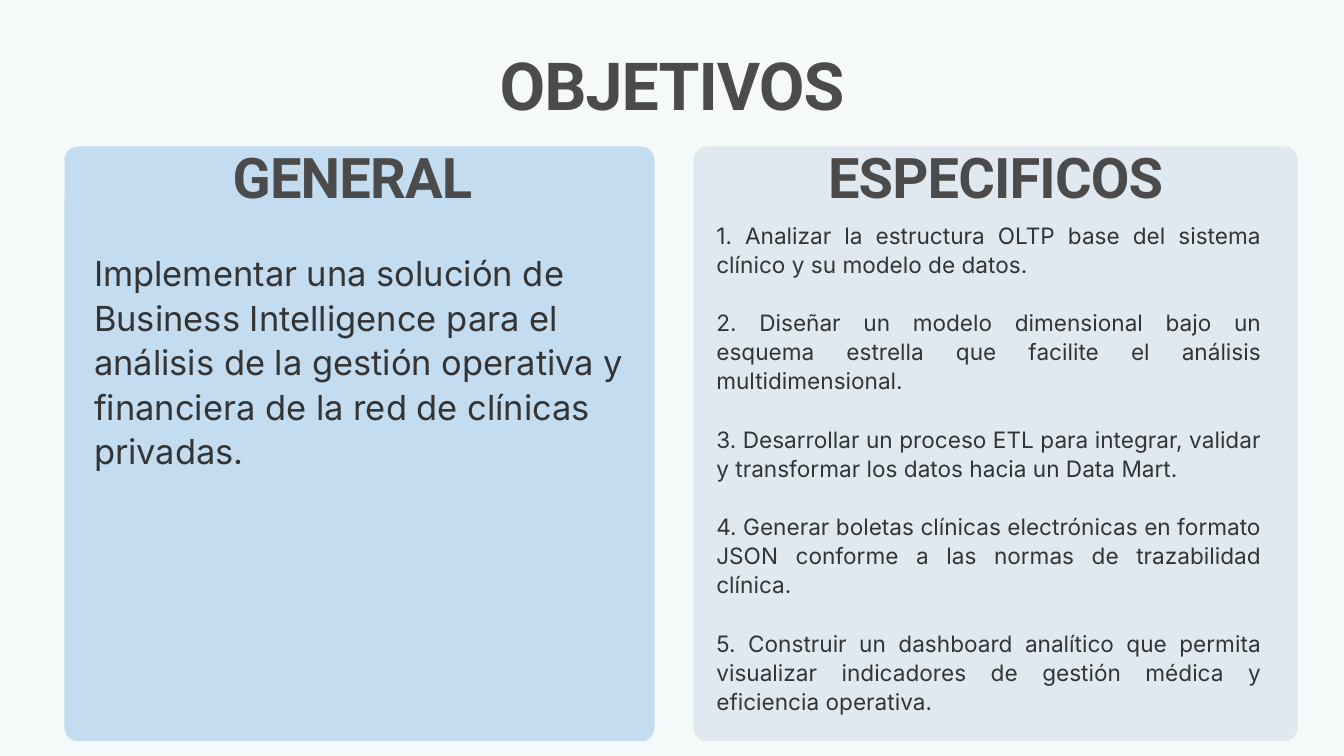
from dataclasses import dataclass

from pptx import Presentation
from pptx import util as u
from pptx.dml import color
from pptx.enum import shapes, text


@dataclass(frozen=True)
class TextStyle:
    font: str
    size: float
    color: str
    line_spacing: float
    bold: bool = False
    tracking: float = 0
    alignment: text.PP_ALIGN = text.PP_ALIGN.LEFT
    gap: float = 0


@dataclass(frozen=True)
class Theme:
    background: str = "F6F9FA"
    general_fill: str = "C3DCEF"
    specific_fill: str = "DFE9EF"
    corner_radius: float = 0.2
    title: TextStyle = TextStyle("Roboto", 71, "4B4B4B", 66.7, True, -1.1, text.PP_ALIGN.CENTER)
    heading: TextStyle = TextStyle("Roboto", 60, "4B4B4B", 56.4, True, -0.9, text.PP_ALIGN.CENTER)
    general: TextStyle = TextStyle("Inter", 36.9, "343434", 47.6)
    specific: TextStyle = TextStyle("Inter", 24.2, "343434", 31.2,
                                    alignment=text.PP_ALIGN.JUSTIFY, gap=31.2)


@dataclass(frozen=True)
class Box:
    left: float
    top: float
    width: float
    height: float

    def lengths(self) -> tuple:
        return tuple(u.Inches(value) for value in
                     (self.left, self.top, self.width, self.height))


@dataclass(frozen=True)
class Panel:
    box: Box
    fill: str
    heading: str
    heading_box: Box
    body: tuple[str, ...]
    body_box: Box
    body_style: TextStyle


THEME = Theme()

PANELS = (
    Panel(
        Box(0.96, 2.18, 8.78, 8.85), THEME.general_fill,
        "GENERAL", Box(1.73, 2.33, 7.03, 0.84),
        ("Implementar una solución de Business Intelligence para el análisis de la "
         "gestión operativa y financiera de la red de clínicas privadas.",),
        Box(1.4, 3.71, 8.34, 3.26), THEME.general,
    ),
    Panel(
        Box(10.32, 2.18, 8.99, 8.85), THEME.specific_fill,
        "ESPECIFICOS", Box(11.3, 2.33, 7.03, 0.84),
        ("1. Analizar la estructura OLTP base del sistema clínico y su modelo de datos.",
         "2. Diseñar un modelo dimensional bajo un esquema estrella que facilite el "
         "análisis multidimensional.",
         "3. Desarrollar un proceso ETL para integrar, validar y transformar los datos "
         "hacia un Data Mart.",
         "4. Generar boletas clínicas electrónicas en formato JSON conforme a las normas "
         "de trazabilidad clínica.",
         "5. Construir un dashboard analítico que permita visualizar indicadores de "
         "gestión médica y eficiencia operativa."),
        Box(10.66, 3.27, 8.11, 7.26), THEME.specific,
    ),
)


def set_attributes(target, values: dict) -> None:
    for name, value in values.items():
        setattr(target, name, value)


def write_text(shape, lines: tuple[str, ...], style: TextStyle) -> None:
    """Fill a shape with one styled paragraph per line."""
    frame = shape.text_frame
    set_attributes(frame, {
        "margin_left": 0, "margin_top": 0, "margin_right": 0, "margin_bottom": 0,
        "word_wrap": True,
        "auto_size": text.MSO_AUTO_SIZE.NONE,
        "vertical_anchor": text.MSO_ANCHOR.TOP,
    })
    for index, line in enumerate(lines):
        paragraph = frame.add_paragraph() if index else frame.paragraphs[0]
        set_attributes(paragraph, {
            "alignment": style.alignment,
            "line_spacing": u.Pt(style.line_spacing),
            "space_before": u.Pt(style.gap if index else 0),
        })
        run = paragraph.add_run()
        run.text = line
        set_attributes(run.font, {
            "name": style.font, "size": u.Pt(style.size), "bold": style.bold,
        })
        run.font.color.rgb = color.RGBColor.from_string(style.color)
        if style.tracking:
            run._r.get_or_add_rPr().set("spc", str(round(style.tracking * 100)))


def add_title(slide, title: str, box: Box) -> None:
    shape = slide.shapes.title
    set_attributes(shape, dict(zip(("left", "top", "width", "height"), box.lengths())))
    write_text(shape, (title,), THEME.title)


def add_card(slide, box: Box, fill: str) -> None:
    shape = slide.shapes.add_shape(shapes.MSO_SHAPE.ROUNDED_RECTANGLE, *box.lengths())
    shape.adjustments[0] = THEME.corner_radius / min(box.width, box.height)
    shape.fill.solid()
    shape.fill.fore_color.rgb = color.RGBColor.from_string(fill)
    shape.line.fill.background()
    shape.shadow.inherit = False


def add_text(slide, lines: tuple[str, ...], box: Box, style: TextStyle) -> None:
    write_text(slide.shapes.add_textbox(*box.lengths()), lines, style)


def main() -> None:
    presentation = Presentation()
    presentation.slide_width = u.Inches(20)
    presentation.slide_height = u.Inches(11.25)
    slide = presentation.slides.add_slide(presentation.slide_layouts.get_by_name("Title Only"))

    # Background and title
    slide.background.fill.solid()
    slide.background.fill.fore_color.rgb = color.RGBColor.from_string(THEME.background)
    add_title(slide, "OBJETIVOS", Box(2.97, 0.91, 14.06, 0.98))

    # Panels with their heading and objectives
    for panel in PANELS:
        add_card(slide, panel.box, panel.fill)
        add_text(slide, panel.body, panel.body_box, panel.body_style)
        add_text(slide, (panel.heading,), panel.heading_box, THEME.heading)

    presentation.save("out.pptx")


if __name__ == "__main__":
    main()
